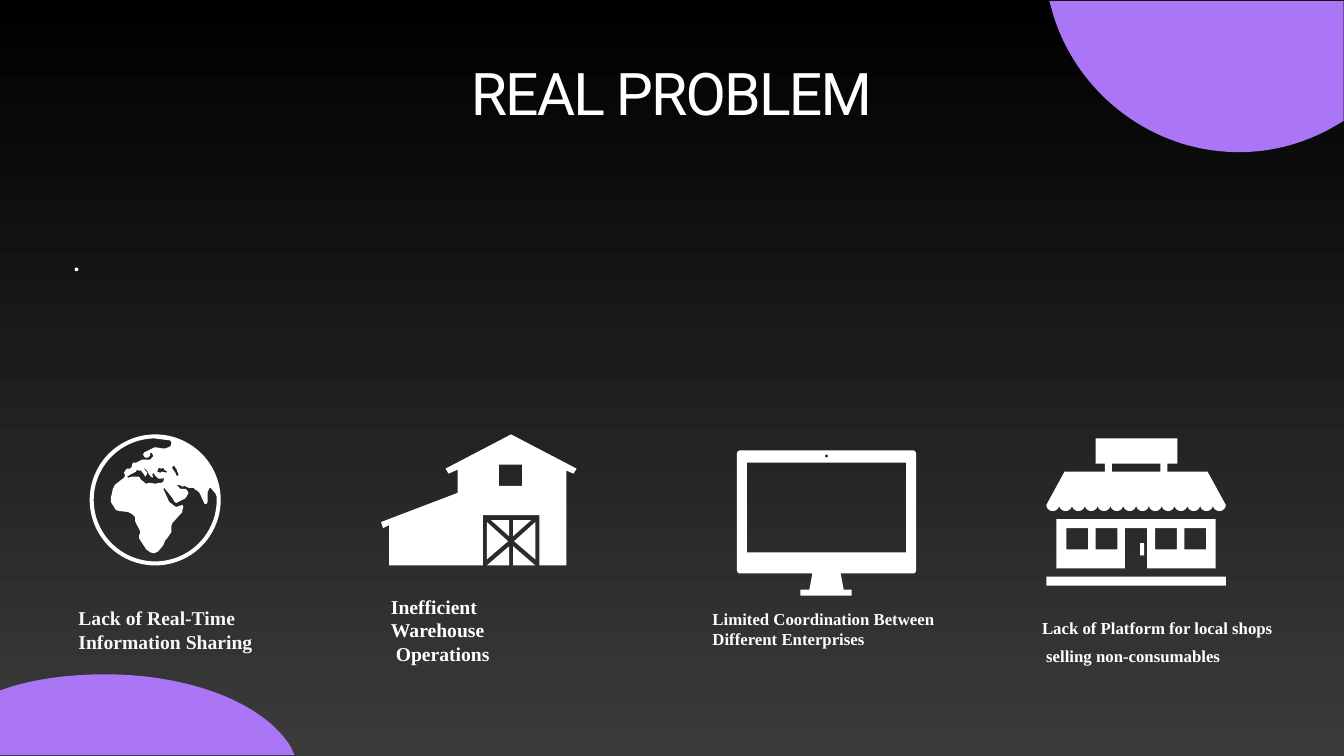
"""Build the REAL PROBLEM slide with four illustrated supply problems."""
from math import cos, radians, sin

from pptx import Presentation
from pptx.dml.color import RGBColor
from pptx.enum.text import MSO_ANCHOR, PP_ALIGN
from pptx.util import Pt

TOP, MIDDLE, BOTTOM = MSO_ANCHOR.TOP, MSO_ANCHOR.MIDDLE, MSO_ANCHOR.BOTTOM
LEFT, CENTER = PP_ALIGN.LEFT, PP_ALIGN.CENTER

COLOURS = {"white": "FFFFFF", "soft": "F6F6F6", "bright": "FDFDFD",
           "purple": "AA76F6", "black": "000000", "charcoal": "3B3B3B"}
HEADING_FONT, CAPTION_FONT = "Roboto", "Times New Roman"
GRID = Pt(0.72)
INSET = Pt(2)

LAND = [
    (64, 4), (80, 6), (81, 8), (81, 9), (80, 12), (75, 14), (72, 14), (67, 13),
    (64, 13), (56, 17), (54, 18), (53, 20), (54, 22), (55, 23), (58, 23), (60, 21),
    (60, 19), (61, 18), (62, 19), (63, 21), (63, 22), (61, 24), (60, 25), (52, 25),
    (46, 28), (43, 28), (42, 30), (42, 32), (40, 34), (37, 34), (36, 35), (34, 38),
    (35, 40), (35, 41), (34, 43), (25, 50), (23, 54), (21, 63), (21, 67), (26, 75),
    (29, 76), (38, 77), (40, 78), (42, 79), (45, 82), (45, 86), (46, 88), (50, 96),
    (50, 98), (49, 100), (49, 103), (56, 114), (60, 117), (64, 118), (68, 116),
    (73, 110), (75, 105), (77, 103), (81, 97), (81, 91), (82, 88), (92, 77), (92, 75),
    (93, 72), (92, 70), (86, 72), (84, 71), (79, 67), (78, 65), (73, 54), (74, 53),
    (82, 63), (83, 65), (84, 67), (86, 68), (94, 64), (96, 62), (98, 58), (97, 56),
    (95, 54), (90, 54), (87, 51), (87, 50), (88, 50), (91, 51), (92, 52), (94, 51),
    (96, 52), (98, 53), (103, 53), (105, 55), (107, 56), (109, 58), (114, 69),
    (116, 69), (117, 67), (117, 57), (119, 53), (120, 53), (125, 59), (126, 62)]
CASPIAN_SEA = [(84, 31), (85, 33), (86, 34), (87, 37), (88, 39), (88, 41), (86, 41),
               (85, 38), (82, 34), (82, 32)]
BLACK_SEA = [(73, 33), (74, 35), (77, 37), (76, 38), (72, 37), (70, 38), (67, 37),
             (68, 34), (69, 33), (71, 34)]
MEDITERRANEAN = [
    (54, 33), (55, 34), (57, 36), (58, 38), (59, 40), (60, 41), (62, 43), (63, 42),
    (62, 40), (63, 38), (64, 39), (65, 41), (68, 44), (72, 44), (74, 43), (73, 47),
    (71, 48), (68, 48), (66, 49), (59, 48), (56, 49), (51, 45), (49, 42), (42, 42),
    (38, 43), (37, 42), (40, 40), (44, 38), (46, 37), (47, 35), (49, 36), (51, 36),
    (54, 40), (55, 42), (56, 41), (57, 39), (57, 38), (54, 34)]
BARN_WALLS = [
    (129, 0), (64, 34), (67, 39), (76, 35), (76, 58), (0, 87), (2, 93), (8, 90),
    (8, 130), (101, 130), (101, 80), (157, 80), (157, 130), (184, 130), (184, 36),
    (191, 39), (194, 34)]
BARN_DOOR_LEFT = [[(109, 85), (127, 101), (127, 85)],
                  [(105, 87), (105, 124), (126, 106)],
                  [(127, 111), (105, 130), (127, 130)]]
MONITOR_STAND = [(103, 122), (106, 138), (114, 138), (114, 144), (63, 144),
                 (63, 138), (72, 138), (75, 122)]
SHOP_WALLS = [(10, 80), (10, 129), (78, 129), (78, 89), (100, 89), (100, 129),
              (168, 129), (168, 80)]


def rgb(name):
    return RGBColor.from_string(COLOURS[name])


def box(x, y, width, height):
    return [(x, y), (x + width, y), (x + width, y + height), (x, y + height)]


def arc(x, y, rx, ry, start, end, steps=12):
    angles = [radians(start + (end - start) * i / steps) for i in range(steps + 1)]
    return [(x + rx * cos(a), y + ry * sin(a)) for a in angles]


def curve(p0, p1, p2, p3, steps=40):
    points = []
    for i in range(steps + 1):
        t = i / steps
        weights = ((1 - t) ** 3, 3 * t * (1 - t) ** 2, 3 * t * t * (1 - t), t ** 3)
        points.append(tuple(sum(w * p[axis] for w, p in zip(weights, (p0, p1, p2, p3)))
                            for axis in (0, 1)))
    return points


def globe():
    return [arc(65, 65, 65, 65, 0, 360, 96),
            LAND + arc(65, 65, 61, 61, 0, 270, 72),
            CASPIAN_SEA, BLACK_SEA, MEDITERRANEAN]


def barn():
    door_right = [[(258 - x, y) for x, y in pane] for pane in BARN_DOOR_LEFT]
    return [BARN_WALLS, box(117, 30, 23, 21)] + BARN_DOOR_LEFT + door_right


def monitor():
    case = (arc(3, 4, 3, 4, 180, 270) + arc(175, 4, 3, 4, 270, 360)
            + arc(175, 118, 3, 4, 0, 90) + MONITOR_STAND + arc(3, 118, 3, 4, 90, 180))
    return [case, arc(89, 5.5, 1.5, 1.5, 0, 360), box(10, 12, 158, 89)]


def shop():
    radius = 178 / 28
    scallops = [point for i in range(14)
                for point in arc(radius * (2 * i + 1), 66, radius, 6, 180, 0)]
    awning = ([(49, 0), (49, 25), (58, 25), (58, 33), (18, 33)] + scallops
              + [(160, 33), (120, 33), (120, 25), (130, 25), (130, 0)])
    windows = [box(x, 89, 21.5, 21) for x in (20, 49, 108, 137)]
    return [awning, box(65, 25, 48, 8), SHOP_WALLS, *windows,
            box(93, 104, 4, 12), box(0, 137, 178, 9)]


def bottom_wave():
    return [curve((104, 0), (71, 0), (39, 4), (12, 12))
            + [(0, 16), (0, 80), (292, 80)]
            + curve((289, 73), (264, 30), (191, 0), (104, 0))]


def top_wave():
    return [curve((188, 150), (222, 150), (253, 141), (280, 126))
            + [(292, 119), (292, 0), (0, 0)]
            + curve((4, 14), (28, 92), (102, 150), (188, 150))]


def add_outline(slide, left, top, contours, colour):
    scaled = [[(x * GRID, y * GRID) for x, y in contour] for contour in contours]
    builder = slide.shapes.build_freeform(*scaled[0][0], scale=1.0)
    builder.add_line_segments(scaled[0][1:], close=True)
    for contour in scaled[1:]:
        builder.move_to(*contour[0])
        builder.add_line_segments(contour[1:], close=True)
    outline = builder.convert_to_shape(Pt(left), Pt(top))
    outline.shadow.inherit = False
    outline.fill.solid()
    outline.fill.fore_color.rgb = rgb(colour)
    outline.line.fill.background()


def add_text(slide, frame, lines, size, colour="white", font=CAPTION_FONT, bold=False,
             anchor=MIDDLE, align=LEFT, before=0, line_spacing=1.0, tracking=0):
    words = slide.shapes.add_textbox(*(Pt(length) for length in frame)).text_frame
    words.word_wrap = True
    words.vertical_anchor = anchor
    words.margin_left = words.margin_right = INSET
    words.margin_top = words.margin_bottom = INSET
    words.text = "\n".join(lines)
    for paragraph in words.paragraphs:
        paragraph.alignment = align
        paragraph.space_before = Pt(before)
        paragraph.line_spacing = line_spacing
        for run in paragraph.runs:
            run.font.name, run.font.size, run.font.bold = font, Pt(size), bold
            run.font.color.rgb = rgb(colour)
            if tracking:
                run.font._element.set("spc", str(tracking))


def paint_background(slide):
    fill = slide.background.fill
    fill.gradient()
    fill.gradient_angle = 270
    for stop, colour in zip(fill.gradient_stops, ("black", "charcoal")):
        stop.color.rgb = rgb(colour)


def main():
    deck = Presentation()
    deck.slide_width, deck.slide_height = Pt(960), Pt(540)
    slide = deck.slides.add_slide(deck.slide_layouts[6])
    paint_background(slide)

    add_text(slide, (49.7, 31.7, 859.7, 61.2), ["REAL PROBLEM"], 42, font=HEADING_FONT,
             anchor=BOTTOM, align=CENTER, line_spacing=0.8, tracking=-130)
    add_text(slide, (49.7, 167.8, 859.7, 331.9), ["."], 24, font=HEADING_FONT,
             anchor=TOP, before=12)

    problems = [
        (globe(), 64.1, 310.3, (54, 429.8, 131, 40.3),
         ["Lack of Real-Time", "Information Sharing"], 14, "soft", 0),
        (barn(), 272.2, 310.3, (277.2, 429.8, 132, 40.3),
         ["Inefficient Warehouse", " Operations"], 14, "white", 0),
        (monitor(), 526.3, 321.8, (506.9, 433.4, 168, 31.7),
         ["Limited Coordination Between", "Different Enterprises"], 12, "bright", 0),
        (shop(), 747.4, 313.2, (742.3, 429.1, 171, 58.3),
         ["Lack of Platform for local shops", " selling non-consumables"], 12, "white", 6),
    ]
    for icon, left, top, frame, caption, size, colour, before in problems:
        add_outline(slide, left, top, icon, "white")
        add_text(slide, frame, caption, size, colour, bold=True, before=before)

    add_outline(slide, 0, 481.7, bottom_wave(), "purple")
    add_outline(slide, 749.5, 0.7, top_wave(), "purple")
    deck.save("out.pptx")


if __name__ == "__main__":
    main()
